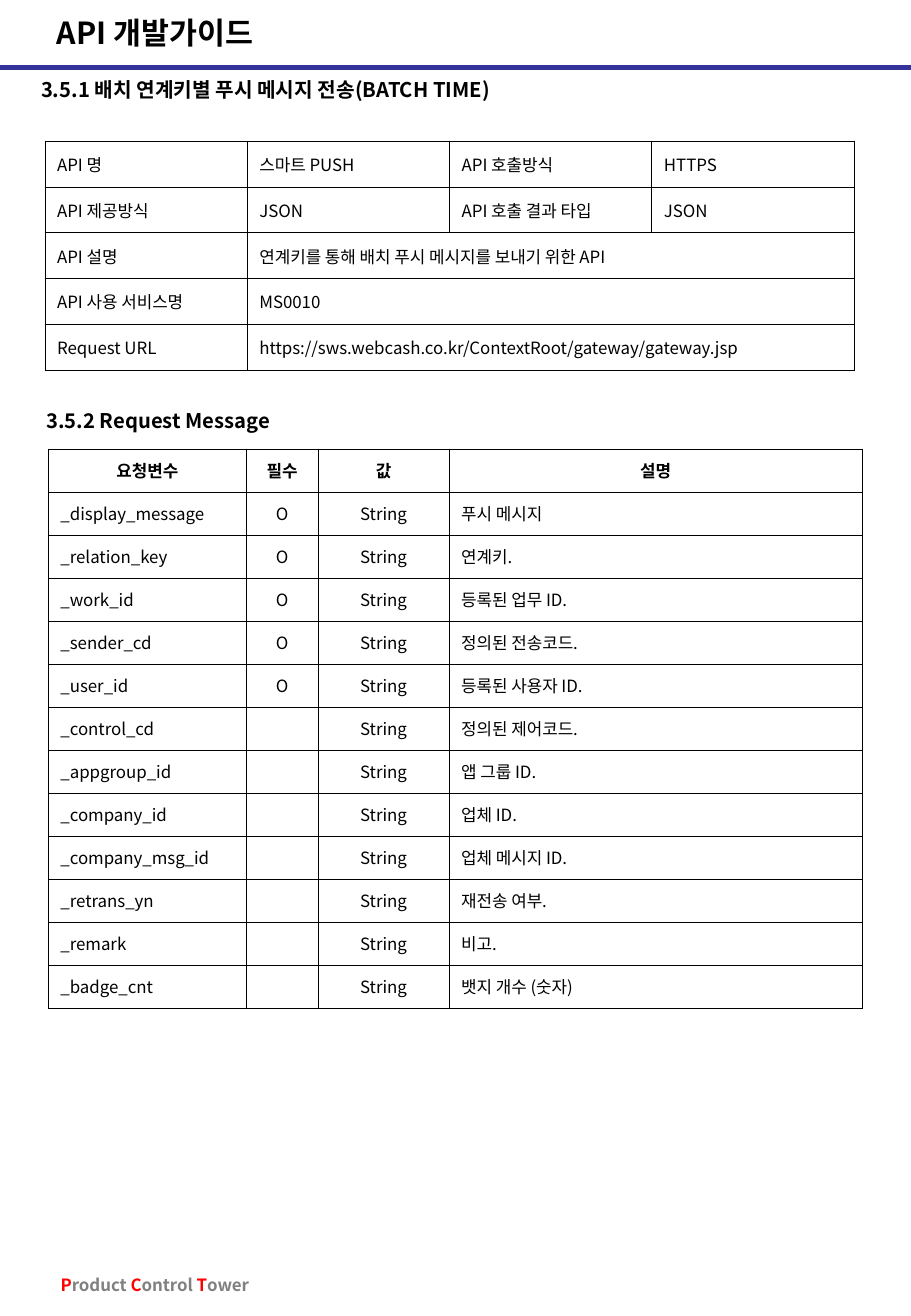
from lxml import etree
from pptx import Presentation
from pptx.dml.color import RGBColor
from pptx.enum.shapes import MSO_CONNECTOR
from pptx.enum.text import MSO_ANCHOR, PP_ALIGN
from pptx.oxml.ns import qn
from pptx.util import Cm, Pt

STRAIGHT = MSO_CONNECTOR.STRAIGHT
MIDDLE = MSO_ANCHOR.MIDDLE
LEFT = PP_ALIGN.LEFT
CENTER = PP_ALIGN.CENTER
FONT = "Noto Sans CJK KR"
BLACK, NAVY, RED, GRAY = "000000", "333399", "FF0000", "808080"
CELL_SIZE = 10
BORDER = Pt(0.45)

API_ROWS = [
    ["API 명", "스마트 PUSH", "API 호출방식", "HTTPS"],
    ["API 제공방식", "JSON", "API 호출 결과 타입", "JSON"],
    ["API 설명", "연계키를 통해 배치 푸시 메시지를 보내기 위한 API"],
    ["API 사용 서비스명", "MS0010"],
    ["Request URL", "https://sws.webcash.co.kr/ContextRoot/gateway/gateway.jsp"],
]
REQUEST_HEADER = ["요청변수", "필수", "값", "설명"]
REQUEST_FIELDS = [
    ("_display_message", "O", "푸시 메시지"),
    ("_relation_key", "O", "연계키."),
    ("_work_id", "O", "등록된 업무 ID."),
    ("_sender_cd", "O", "정의된 전송코드."),
    ("_user_id", "O", "등록된 사용자 ID."),
    ("_control_cd", "", "정의된 제어코드."),
    ("_appgroup_id", "", "앱 그룹 ID."),
    ("_company_id", "", "업체 ID."),
    ("_company_msg_id", "", "업체 메시지 ID."),
    ("_retrans_yn", "", "재전송 여부."),
    ("_remark", "", "비고."),
    ("_badge_cnt", "", "뱃지 개수 (숫자)"),
]
FOOTER_SPANS = [("P", RED), ("roduct ", GRAY), ("C", RED),
                ("ontrol ", GRAY), ("T", RED), ("ower", GRAY)]


def color(value):
    return RGBColor.from_string(value)


def add_span(para, text, size, tint=BLACK, bold=False):
    span = para.add_run()
    span.text = text
    span.font.name = FONT
    span.font.size = Pt(size)
    span.font.bold = bold
    span.font.color.rgb = color(tint)
    east_asian = etree.SubElement(span.font._element, qn("a:ea"))
    east_asian.set("typeface", FONT)


def add_text(page, left, top, width, height, spans, size, wrap=True):
    box = page.shapes.add_textbox(Cm(left), Cm(top), Cm(width), Cm(height))
    box.text_frame.word_wrap = wrap
    para = box.text_frame.paragraphs[0]
    for text, tint in spans:
        add_span(para, text, size, tint, bold=True)


def add_rule(page, top, width):
    rule = page.shapes.add_connector(STRAIGHT, 0, Cm(top), width, Cm(top))
    rule.line.color.rgb = color(NAVY)
    rule.line.width = Pt(3)
    etree.SubElement(rule._element.spPr, qn("a:effectLst"))


def add_borders(cell):
    properties = cell._tc.get_or_add_tcPr()
    for side in ("lnL", "lnR", "lnT", "lnB"):
        line = etree.SubElement(properties, qn(f"a:{side}"), w=str(BORDER))
        fill = etree.SubElement(line, qn("a:solidFill"))
        etree.SubElement(fill, qn("a:srgbClr"), val=BLACK)


def fill_cell(cell, text, align, bold):
    add_borders(cell)
    cell.fill.background()
    cell.vertical_anchor = MIDDLE
    para = cell.text_frame.paragraphs[0]
    para.alignment = align
    if text:
        add_span(para, text, CELL_SIZE, bold=bold)
    else:
        etree.SubElement(para._p, qn("a:endParaRPr"), sz=str(CELL_SIZE * 100))


def add_grid(page, left, top, widths, row_height, rows, centered=(), header=False):
    frame = page.shapes.add_table(len(rows), len(widths), Cm(left), Cm(top),
                                  Cm(sum(widths)), Cm(row_height * len(rows)))
    table = frame.table
    table.first_row = header
    table.horz_banding = False
    for column, width in zip(table.columns, widths):
        column.width = Cm(width)
    for r, texts in enumerate(rows):
        table.rows[r].height = Cm(row_height)
        is_header = header and r == 0
        for c in range(len(widths)):
            text = texts[c] if c < len(texts) else ""
            align = CENTER if is_header or c in centered else LEFT
            fill_cell(table.cell(r, c), text, align, is_header)
        if len(texts) < len(widths):
            table.cell(r, len(texts) - 1).merge(table.cell(r, len(widths) - 1))


def main():
    deck = Presentation()
    deck.slide_width = Cm(19.05)
    deck.slide_height = Cm(27.53)
    page = deck.slides.add_slide(deck.slide_layouts[6])

    add_rule(page, 1.41, deck.slide_width)
    add_text(page, 1.02, 26.54, 4.47, 0.69, FOOTER_SPANS, 10, wrap=False)
    add_text(page, 0.94, 0.18, 17.42, 1.02, [("API 개발가이드", BLACK)], 18)
    add_text(page, 0.61, 1.5, 17.7, 0.76,
             [("3.5.1 배치 연계키별 푸시 메시지 전송(BATCH TIME)", BLACK)], 12)
    add_grid(page, 0.94, 2.95, [4.23] * 4, 0.96, API_ROWS)
    add_text(page, 0.72, 8.41, 17.7, 0.76, [("3.5.2 Request Message", BLACK)], 12)
    request_rows = [REQUEST_HEADER] + [
        [name, required, "String", meaning]
        for name, required, meaning in REQUEST_FIELDS]
    add_grid(page, 1.01, 9.39, [4.14, 1.5, 2.74, 8.64], 0.9, request_rows,
             centered=(1, 2), header=True)
    deck.save("out.pptx")


if __name__ == "__main__":
    main()
